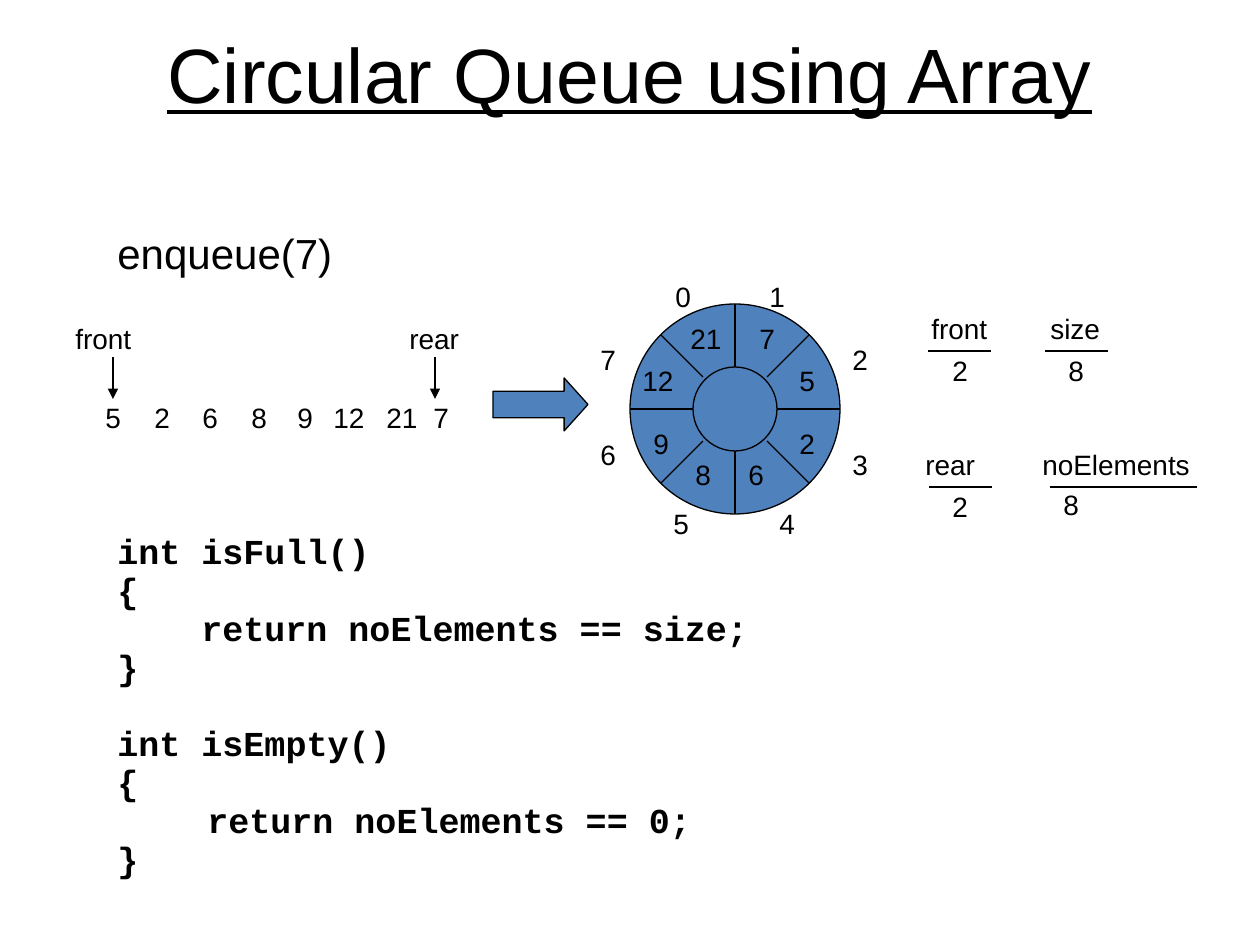
from lxml.etree import SubElement
from itertools import product
from pptx import Presentation
from pptx.dml.color import RGBColor
from pptx.enum.shapes import MSO_CONNECTOR, MSO_SHAPE
from pptx.enum.text import MSO_ANCHOR, PP_ALIGN
from pptx.oxml.ns import qn
from pptx.util import Emu, Pt

SCALE = 914400 / 126
BLACK, BLUE = "000000", "4F81BD"
ROW = [("5", 93), ("2", 142), ("6", 190), ("8", 239), ("9", 285),
       ("12", 321), ("21", 374), ("7", 421)]
SLOTS = [("0", 663, 273), ("1", 757, 273), ("2", 840, 336), ("3", 840, 441),
         ("4", 767, 500), ("5", 661, 500), ("6", 588, 431), ("7", 588, 336)]
ITEMS = [("21", 678, 315), ("7", 747, 315), ("5", 787, 357), ("2", 787, 420),
         ("6", 736, 451), ("8", 683, 451), ("9", 641, 420), ("12", 630, 357)]
FIELDS = [("front", 919, 305, 88, 928, 63, "2", 940, 347),
          ("size", 1038, 305, 88, 1045, 63, "8", 1056, 347),
          ("rear", 913, 441, 88, 929, 63, "2", 940, 483),
          ("noElements", 1030, 441, 186, 1050, 147, "8", 1051, 481)]
CODE = [("int isFull()", 0, 5.2), ("{", 0, 5.2),
        ("return noElements == size;", 84, 5.2), ("}", 0, 5.2),
        ("int isEmpty()", 0, 27), ("{", 0, 5.2),
        ("return noElements == 0;", 90, 5.2), ("}", 0, 5.2)]


def px(num):
    """Turn px into EMU."""
    return Emu(round(num * SCALE))


def color(code):
    """Turn a hex string into a colour."""
    return RGBColor.from_string(code)


def add_run(para, text, size, font="Arial", bold=False, under=False):
    """Add one run of black text."""
    run = para.add_run()
    run.text = text
    face = run.font
    face.name, face.size = font, Pt(size)
    face.bold, face.underline = bold, under
    face.color.rgb = color(BLACK)


def add_box(slide, left, top, width, height):
    """Add a text box and return its frame."""
    box = slide.shapes.add_textbox(px(left), px(top), px(width), px(height))
    box.text_frame.word_wrap = True
    return box.text_frame


def add_label(slide, text, left, top, width=None, size=16):
    """Add a short line of text, by default as wide as its digits."""
    width = width or 28 + 16 * len(text)
    frame = add_box(slide, left, top, width, 46)
    add_run(frame.paragraphs[0], text, size)


def add_title(slide, text):
    """Add the underlined title."""
    frame = add_box(slide, 63, 10, 1134, 126)
    frame.vertical_anchor = MSO_ANCHOR.MIDDLE
    para = frame.paragraphs[0]
    para.alignment = PP_ALIGN.CENTER
    add_run(para, text, 44, under=True)


def add_code(slide):
    """Add the code, one paragraph a line."""
    frame = add_box(slide, 105, 535, 1124, 357)
    for num, (text, left, gap) in enumerate(CODE):
        para = frame.add_paragraph() if num else frame.paragraphs[0]
        para.line_spacing, para.space_before = 0.7, Pt(gap)
        para._p.get_or_add_pPr().set("marL", str(px(left)))
        add_run(para, text, 20, "Courier New", bold=True)


def add_form(slide, kind, left, top, width, height):
    """Add a blue shape with a thin black outline."""
    form = slide.shapes.add_shape(kind, px(left), px(top), px(width), px(height))
    form.shadow.inherit = False
    form.fill.solid()
    form.fill.fore_color.rgb = color(BLUE)
    form.line.color.rgb = color(BLACK)
    form.line.width = Pt(0.75)
    return form


def add_line(slide, x1, y1, x2, y2, arrow=False):
    """Add a thin black line, with an arrowhead at its end if asked."""
    line = slide.shapes.add_connector(
        MSO_CONNECTOR.STRAIGHT, px(x1), px(y1), px(x2), px(y2))
    line.line.color.rgb = color(BLACK)
    line.line.width = Pt(0.75)
    props = line._element.spPr
    if arrow:
        SubElement(props.find(qn("a:ln")), qn("a:tailEnd"), type="triangle")
    SubElement(props, qn("a:effectLst"))


def add_row(slide):
    """Add the queue as a row with its two pointers."""
    for text, left in ROW:
        add_label(slide, text, left, 394)
    for text, left, tip in [("front", 63, 113), ("rear", 397, 435)]:
        add_label(slide, text, left, 315, 88)
        add_line(slide, tip, 357, tip, 399, True)


def add_ring(slide):
    """Add the ring with its spokes, items and slot numbers."""
    mid_x, mid_y = 735, 409
    for rad in (105, 42):
        add_form(slide, MSO_SHAPE.OVAL, mid_x - rad, mid_y - rad, 2 * rad, 2 * rad)
    for dx, dy in product((-1, 0, 1), repeat=2):
        if dx or dy:
            near, far = (32, 74) if dx and dy else (42, 105)
            add_line(slide, mid_x + dx * near, mid_y + dy * near,
                     mid_x + dx * far, mid_y + dy * far)
    for text, left, top in SLOTS + ITEMS:
        add_label(slide, text, left, top)


def add_field(slide, name, left, top, width, start, span, value, val_x, val_y):
    """Add a named value with a rule between name and value."""
    add_label(slide, name, left, top, width)
    add_line(slide, start, top + 46, start + span, top + 46)
    add_label(slide, value, val_x, val_y)


def main():
    """Build the slide and save it."""
    deck = Presentation()
    deck.slide_width, deck.slide_height = px(1260), px(945)
    slide = deck.slides.add_slide(deck.slide_layouts[6])
    add_title(slide, "Circular Queue using Array")
    add_label(slide, "enqueue(7)", 105, 221, 260, 24)
    add_row(slide)
    arrow = add_form(slide, MSO_SHAPE.RIGHT_ARROW, 493, 378, 95, 53)
    arrow.adjustments[1] = 0.45
    add_ring(slide)
    for field in FIELDS:
        add_field(slide, *field)
    add_code(slide)
    deck.save("out.pptx")


if __name__ == "__main__":
    main()
